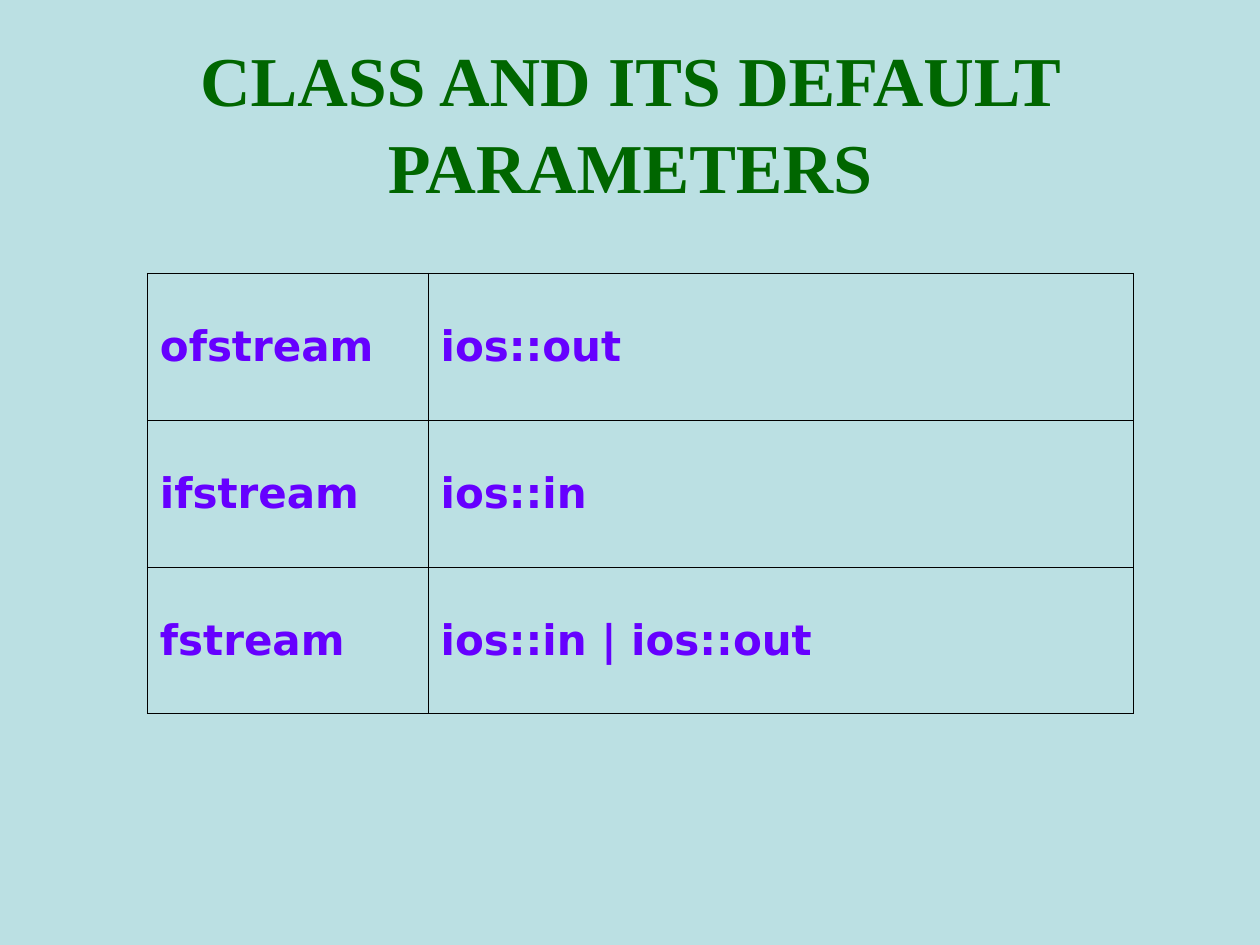
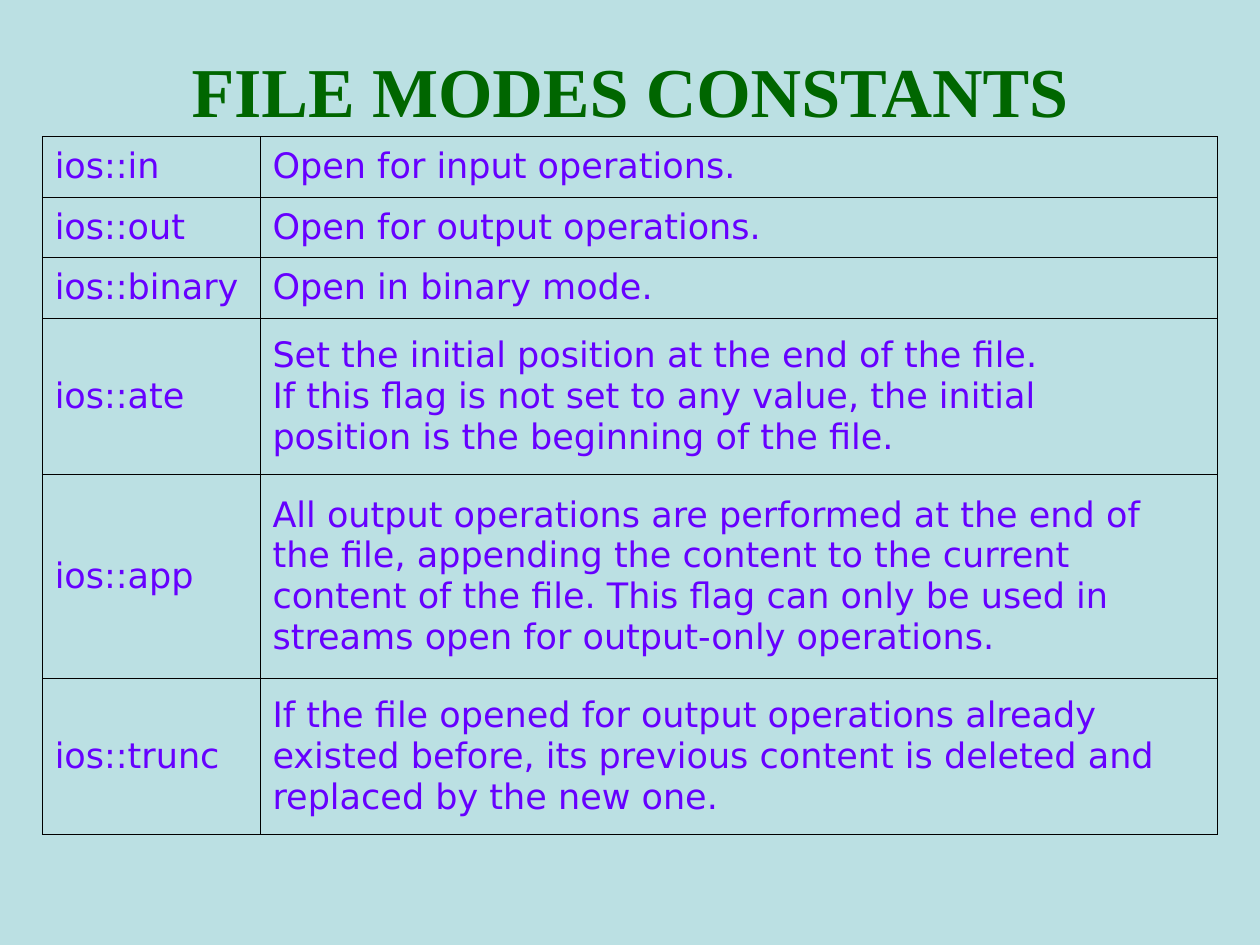
from dataclasses import dataclass

from lxml import etree
from pptx import Presentation
from pptx import util as u
from pptx.dml.color import RGBColor
from pptx.enum import text
from pptx.oxml import ns


@dataclass(frozen=True)
class Theme:
    """Colours, fonts and sizes shared by the slides."""

    background: RGBColor = RGBColor(0xBB, 0xE0, 0xE3)
    title_colour: RGBColor = RGBColor(0x00, 0x66, 0x00)
    table_colour: RGBColor = RGBColor(0x66, 0x00, 0xFF)
    border_colour: str = "000000"
    border_width: u.Pt = u.Pt(0.45)
    title_font: str = "Times New Roman"
    table_font: str = "DejaVu Sans"
    title_size: u.Pt = u.Pt(40)
    large_size: u.Pt = u.Pt(24)
    small_size: u.Pt = u.Pt(20)
    hanging: u.Cm = u.Cm(0.95)


THEME = Theme()

DEFAULT_MODES = [
    ("ofstream", ["ios::out"]),
    ("ifstream", ["ios::in"]),
    ("fstream", ["ios::in | ios::out"]),
]

FILE_MODES = [
    ("ios::in", ["Open for input operations."]),
    ("ios::out", ["Open for output operations."]),
    ("ios::binary", ["Open in binary mode."]),
    ("ios::ate", [
        "Set the initial position at the end of the file.",
        "If this flag is not set to any value, the initial",
        "position is the beginning of the file.",
    ]),
    ("ios::app", [
        "All output operations are performed at the end of",
        "the file, appending the content to the current",
        "content of the file. This flag can only be used in",
        "streams open for output-only operations.",
    ]),
    ("ios::trunc", [
        "If the file opened for output operations already",
        "existed before, its previous content is deleted and",
        "replaced by the new one.",
    ]),
]

ROW_HEIGHTS = {1: 1.22, 3: 3.15, 4: 4.11}


def add_run(paragraph, words, font, size, colour, bold):
    """Add one formatted run to a paragraph."""
    run = paragraph.add_run()
    run.text = words
    run.font.name = font
    run.font.size = size
    run.font.bold = bold
    run.font.color.rgb = colour


def add_title(slide, box, words):
    """Place a centred title in the box (left, top, width, height in cm)."""
    frame = slide.shapes.add_textbox(*map(u.Cm, box)).text_frame
    frame.word_wrap = True
    frame.vertical_anchor = text.MSO_ANCHOR.MIDDLE
    frame.margin_top = u.Cm(0.28)
    paragraph = frame.paragraphs[0]
    paragraph.alignment = text.PP_ALIGN.CENTER
    paragraph.line_spacing = 1.04
    add_run(paragraph, words, THEME.title_font, THEME.title_size, THEME.title_colour, True)


def add_borders(cell):
    """Draw a thin line on all four sides of a cell."""
    properties = cell._tc.get_or_add_tcPr()
    for side in ("a:lnL", "a:lnR", "a:lnT", "a:lnB"):
        line = etree.SubElement(properties, ns.qn(side), w=str(THEME.border_width))
        fill = etree.SubElement(line, ns.qn("a:solidFill"))
        etree.SubElement(fill, ns.qn("a:srgbClr"), val=THEME.border_colour)


def fill_cell(cell, lines, size, bold):
    """Write lines into a bordered, unfilled cell as hanging paragraphs."""
    add_borders(cell)
    cell.fill.background()
    cell.vertical_anchor = text.MSO_ANCHOR.MIDDLE
    frame = cell.text_frame
    for index, line in enumerate(lines):
        paragraph = frame.add_paragraph() if index else frame.paragraphs[0]
        properties = paragraph._p.get_or_add_pPr()
        properties.set("marL", str(THEME.hanging))
        properties.set("indent", str(-THEME.hanging))
        add_run(paragraph, line, THEME.table_font, size, THEME.table_colour, bold)


def add_definitions(slide, left, top, widths, heights, rows, size, bold=False):
    """Build a table of terms and their meanings from its top left corner."""
    box = (left, top, sum(widths), sum(heights))
    table = slide.shapes.add_table(len(rows), len(widths), *map(u.Cm, box)).table
    table.first_row = False
    table.horz_banding = False
    for column, width in zip(table.columns, widths):
        column.width = u.Cm(width)
    for row, height, (term, meaning) in zip(table.rows, heights, rows):
        row.height = u.Cm(height)
        for cell, lines in zip(row.cells, ([term], meaning)):
            fill_cell(cell, lines, size, bold)


def add_slide(presentation):
    """Add a blank slide with the shared background."""
    slide = presentation.slides.add_slide(presentation.slide_layouts[6])
    slide.background.fill.solid()
    slide.background.fill.fore_color.rgb = THEME.background
    return slide


def build_default_parameters(presentation):
    """Show each stream class with its default mode."""
    slide = add_slide(presentation)
    add_title(slide, (0, 0.76, 25.4, 3.18), "CLASS AND ITS DEFAULT PARAMETERS")
    heights = [2.96] * len(DEFAULT_MODES)
    add_definitions(slide, 2.97, 5.51, (5.66, 14.22), heights,
                    DEFAULT_MODES, THEME.large_size, bold=True)


def build_file_modes(presentation):
    """Show each file mode constant with its meaning."""
    slide = add_slide(presentation)
    add_title(slide, (1.27, 0, 22.86, 3.38), "FILE MODES CONSTANTS")
    heights = [ROW_HEIGHTS[len(meaning)] for _, meaning in FILE_MODES]
    add_definitions(slide, 0.85, 2.75, (4.39, 19.3), heights,
                    FILE_MODES, THEME.small_size)


def main():
    """Build and save the presentation."""
    presentation = Presentation()
    presentation.slide_width = u.Cm(25.4)
    presentation.slide_height = u.Cm(19.05)
    build_default_parameters(presentation)
    build_file_modes(presentation)
    presentation.save("out.pptx")


if __name__ == "__main__":
    main()
